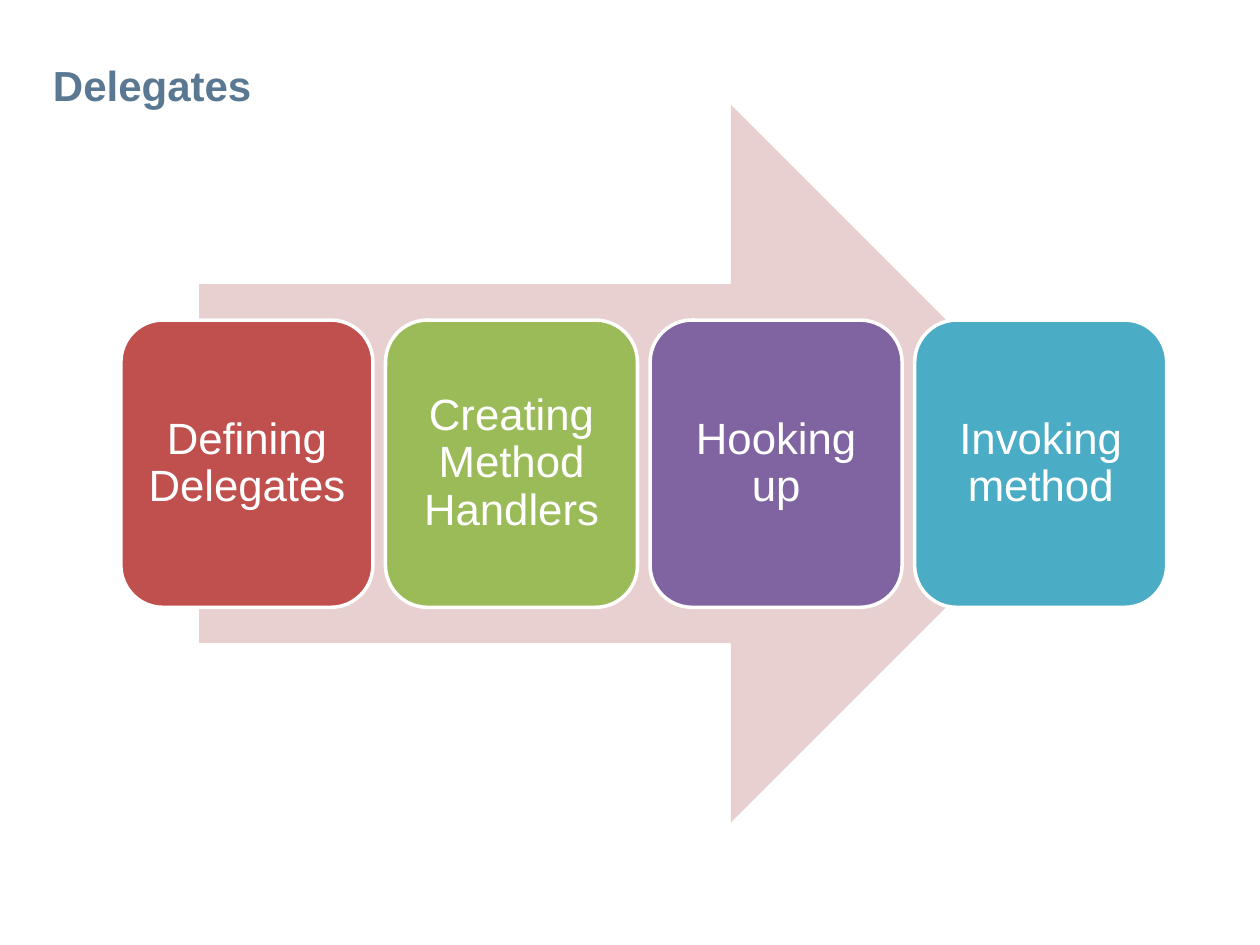
from dataclasses import dataclass

from pptx import Presentation
from pptx.dml.color import RGBColor
from pptx.enum.shapes import MSO_SHAPE
from pptx.enum.text import MSO_ANCHOR, MSO_AUTO_SIZE, PP_ALIGN
from pptx.shapes.autoshape import Shape
from pptx.slide import Slide
from pptx.text.text import TextFrame
from pptx.util import Inches, Pt


@dataclass(frozen=True)
class Theme:
    font: str = "Arial"
    title: str = "5B7893"
    arrow: str = "E8D0D0"
    white: str = "FFFFFF"
    title_size: float = 24
    step_size: float = 25
    outline: float = 2


@dataclass(frozen=True)
class Box:
    left: float
    top: float
    width: float
    height: float

    def lengths(self) -> tuple:
        return tuple(Inches(v) for v in (self.left, self.top, self.width, self.height))


@dataclass(frozen=True)
class Step:
    label: str
    fill: str


THEME = Theme()
TITLE_BOX = Box(0.42, 0.35, 9.14, 0.57)
ARROW_BOX = Box(1.58, 0.83, 7.07, 5.7)
FIRST_STEP = Box(0.96, 2.54, 2, 2.28)
STEP_PITCH = 2.1
STEPS = (
    Step("Defining Delegates", "C0504D"),
    Step("Creating Method Handlers", "9BBB59"),
    Step("Hooking up", "8064A2"),
    Step("Invoking method", "4BACC6"),
)


def apply(target: object, values: dict) -> None:
    for name, value in values.items():
        setattr(target, name, value)


def write(frame: TextFrame, text: str, size: float, color: str, bold: bool,
          frame_format: dict, paragraph_format: dict) -> None:
    apply(frame, {"word_wrap": True, "auto_size": MSO_AUTO_SIZE.NONE, **frame_format})
    paragraph = frame.paragraphs[0]
    apply(paragraph, paragraph_format)
    run = paragraph.add_run()
    run.text = text
    apply(run.font, {"name": THEME.font, "size": Pt(size), "bold": bold})
    run.font.color.rgb = RGBColor.from_string(color)


def add_filled(slide: Slide, preset: MSO_SHAPE, box: Box, fill: str) -> Shape:
    shape = slide.shapes.add_shape(preset, *box.lengths())
    shape.shadow.inherit = False
    shape.fill.solid()
    shape.fill.fore_color.rgb = RGBColor.from_string(fill)
    shape.line.fill.background()
    return shape


def add_title(slide: Slide, text: str) -> None:
    title = slide.shapes.title
    apply(title, dict(zip(("left", "top", "width", "height"), TITLE_BOX.lengths())))
    write(title.text_frame, text, THEME.title_size, THEME.title, True,
          {"vertical_anchor": MSO_ANCHOR.BOTTOM, "margin_left": 0, "margin_top": 0,
           "margin_right": 0, "margin_bottom": Inches(0.05)},
          {"alignment": PP_ALIGN.LEFT})


def add_step(slide: Slide, step: Step, box: Box) -> None:
    card = add_filled(slide, MSO_SHAPE.ROUNDED_RECTANGLE, box, step.fill)
    card.line.color.rgb = RGBColor.from_string(THEME.white)
    card.line.width = Pt(THEME.outline)
    margins = {f"margin_{side}": Inches(0.1) for side in ("left", "top", "right", "bottom")}
    write(card.text_frame, step.label, THEME.step_size, THEME.white, False,
          {"vertical_anchor": MSO_ANCHOR.MIDDLE, **margins},
          {"alignment": PP_ALIGN.CENTER, "line_spacing": 0.9})


def main() -> None:
    presentation = Presentation()
    apply(presentation, {"slide_width": Inches(10), "slide_height": Inches(7.5)})
    slide = presentation.slides.add_slide(presentation.slide_layouts[5])
    add_title(slide, "Delegates")
    add_filled(slide, MSO_SHAPE.RIGHT_ARROW, ARROW_BOX, THEME.arrow)
    for index, step in enumerate(STEPS):
        left = FIRST_STEP.left + index * STEP_PITCH
        add_step(slide, step, Box(left, FIRST_STEP.top, FIRST_STEP.width, FIRST_STEP.height))
    presentation.save("out.pptx")


if __name__ == "__main__":
    main()
